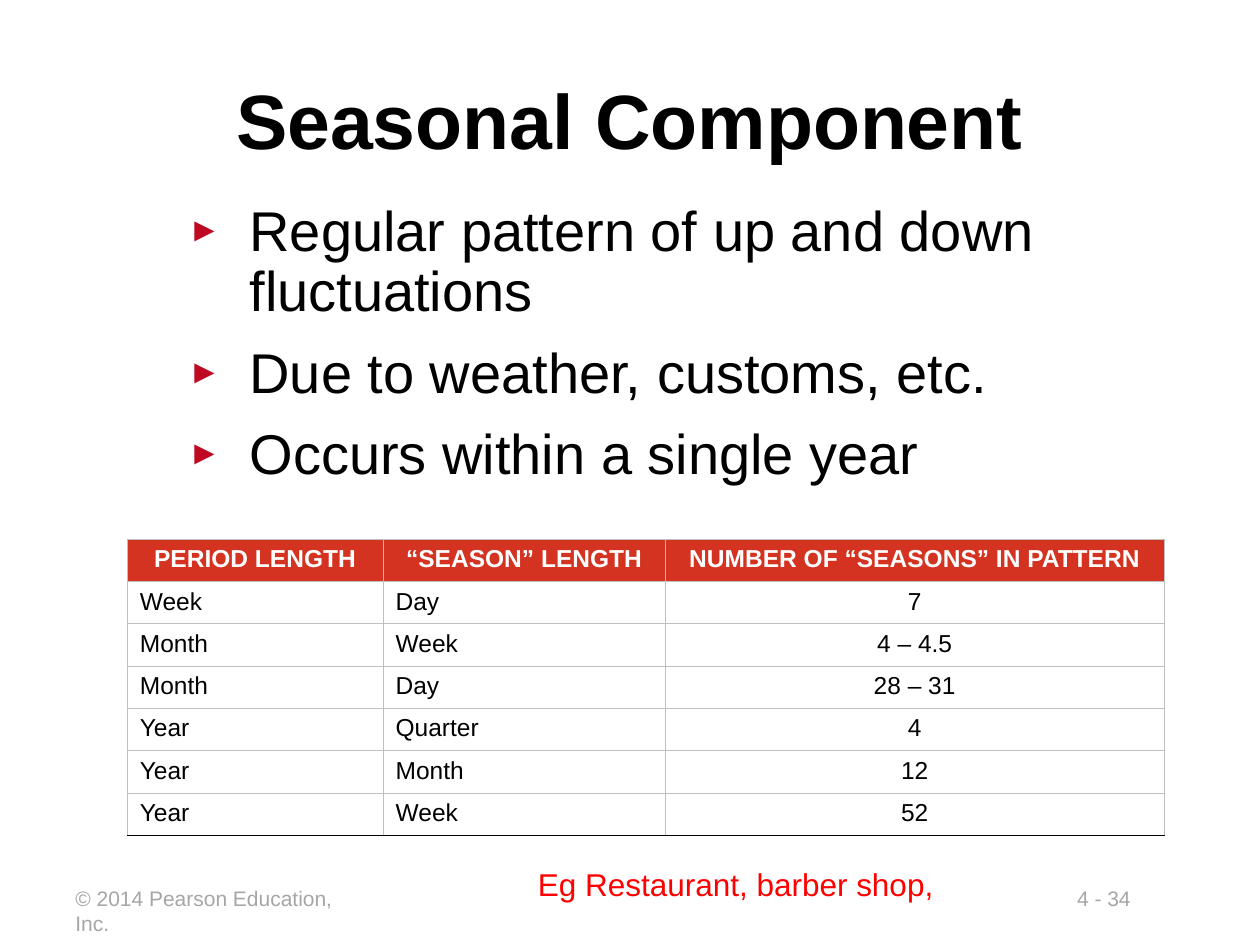
from dataclasses import dataclass

import pptx
import pptx.dml.color
import pptx.enum.text
import pptx.oxml
import pptx.oxml.ns
import pptx.util
from pptx.util import Inches

FONT = "Arial"
BLACK, WHITE, RED, GREY = "000000", "FFFFFF", "FF0000", "A6A6A6"
HEAD, RULE, MARK = "D33320", "BFBFBF", "BF0922"
LEFT = pptx.enum.text.PP_ALIGN.LEFT
CENTER = pptx.enum.text.PP_ALIGN.CENTER


@dataclass
class Style:
    size: float
    color: str = BLACK
    bold: bool = False
    align: pptx.enum.text.PP_ALIGN = LEFT


@dataclass
class Box:
    left: float
    top: float
    width: float
    height: float


@dataclass
class Note:
    text: str
    box: Box
    style: Style


NOTES = [
    Note("4 - 34", Box(8.45, 6.98, 1.2, 0.3), Style(12, GREY)),
    Note("© 2014 Pearson Education, Inc.", Box(0.5, 6.98, 2.55, 0.3), Style(12, GREY)),
    Note("Eg Restaurant, barber shop,", Box(4.17, 6.82, 3.41, 0.4), Style(18, RED)),
]
POINTS = [
    "Regular pattern of up and down fluctuations",
    "Due to weather, customs, etc.",
    "Occurs within a single year",
]
WIDTHS = [2.03, 2.24, 3.96]
ROWS = [
    ("PERIOD LENGTH", "“SEASON” LENGTH", "NUMBER OF “SEASONS” IN PATTERN"),
    ("Week", "Day", "7"),
    ("Month", "Week", "4 – 4.5"),
    ("Month", "Day", "28 – 31"),
    ("Year", "Quarter", "4"),
    ("Year", "Month", "12"),
    ("Year", "Week", "52"),
]


def rgb(code: str) -> pptx.dml.color.RGBColor:
    return pptx.dml.color.RGBColor.from_string(code)


def format_text(frame, style: Style) -> None:
    for para in frame.paragraphs:
        para.alignment = style.align
        for run in para.runs:
            run.font.name = FONT
            run.font.size = pptx.util.Pt(style.size)
            run.font.bold = style.bold
            run.font.color.rgb = rgb(style.color)


def place(shape, box: Box) -> None:
    shape.left, shape.top = Inches(box.left), Inches(box.top)
    shape.width, shape.height = Inches(box.width), Inches(box.height)


def add_note(slide, note: Note) -> None:
    box = note.box
    shape = slide.shapes.add_textbox(
        Inches(box.left), Inches(box.top), Inches(box.width), Inches(box.height))
    frame = shape.text_frame
    frame.text = note.text
    frame.word_wrap = False
    frame.auto_size = pptx.enum.text.MSO_AUTO_SIZE.SHAPE_TO_FIT_TEXT
    format_text(frame, note.style)


def add_mark(para) -> None:
    props = para._p.get_or_add_pPr()
    props.set("marL", str(Inches(0.49)))
    props.set("indent", str(-Inches(0.49)))
    space = pptx.oxml.ns.nsdecls("a")
    for part in (
        f'<a:buClr {space}><a:srgbClr val="{MARK}"/></a:buClr>',
        f'<a:buSzPct {space} val="60000"/>',
        f'<a:buFont {space} typeface="{FONT}"/>',
        f'<a:buChar {space} char="►"/>',
    ):
        props.append(pptx.oxml.parse_xml(part))


def fill_title(shape) -> None:
    place(shape, Box(0.75, 0.4, 8.5, 1.08))
    frame = shape.text_frame
    frame.text = "Seasonal Component"
    frame.auto_size = pptx.enum.text.MSO_AUTO_SIZE.NONE
    frame.vertical_anchor = pptx.enum.text.MSO_ANCHOR.MIDDLE
    format_text(frame, Style(44, bold=True, align=CENTER))


def fill_body(shape) -> None:
    place(shape, Box(1.39, 1.56, 7.25, 2.67))
    frame = shape.text_frame
    frame.text = "\n".join(POINTS)
    frame.auto_size = pptx.enum.text.MSO_AUTO_SIZE.NONE
    for para in frame.paragraphs:
        add_mark(para)
        para.line_spacing = 0.9
        para.space_before = pptx.util.Pt(0)
        para.space_after = pptx.util.Pt(12)
    format_text(frame, Style(32))


def add_edges(cell, base: str) -> None:
    props = cell._tc.get_or_add_tcPr()
    space = pptx.oxml.ns.nsdecls("a")
    width = pptx.util.Pt(0.45)
    edges = {"lnL": RULE, "lnR": RULE, "lnT": RULE, "lnB": base}
    for spot, (tag, color) in enumerate(edges.items()):
        props.insert(spot, pptx.oxml.parse_xml(
            f'<a:{tag} {space} w="{width}"><a:solidFill>'
            f'<a:srgbClr val="{color}"/></a:solidFill></a:{tag}>'))


def add_grid(slide) -> None:
    high = 2.35 / len(ROWS)
    table = slide.shapes.add_table(
        len(ROWS), len(WIDTHS), Inches(1.01), Inches(4.28),
        Inches(sum(WIDTHS)), Inches(high * len(ROWS))).table
    for col, width in zip(table.columns, WIDTHS):
        col.width = Inches(width)
    for r, row in enumerate(ROWS):
        table.rows[r].height = Inches(high)
        for c, text in enumerate(row):
            cell = table.cell(r, c)
            cell.text_frame.text = text
            top = r == 0
            align = CENTER if top or c == 2 else LEFT
            format_text(cell.text_frame, Style(14, WHITE if top else BLACK, top, align))
            if top:
                cell.fill.solid()
                cell.fill.fore_color.rgb = rgb(HEAD)
            else:
                cell.fill.background()
            add_edges(cell, BLACK if r == len(ROWS) - 1 else RULE)


def main() -> None:
    deck = pptx.Presentation()
    deck.slide_width, deck.slide_height = Inches(10), Inches(7.5)
    slide = deck.slides.add_slide(deck.slide_layouts[1])
    fill_title(slide.shapes.title)
    fill_body(slide.placeholders[1])
    add_grid(slide)
    for note in NOTES:
        add_note(slide, note)
    deck.save("out.pptx")


if __name__ == "__main__":
    main()
